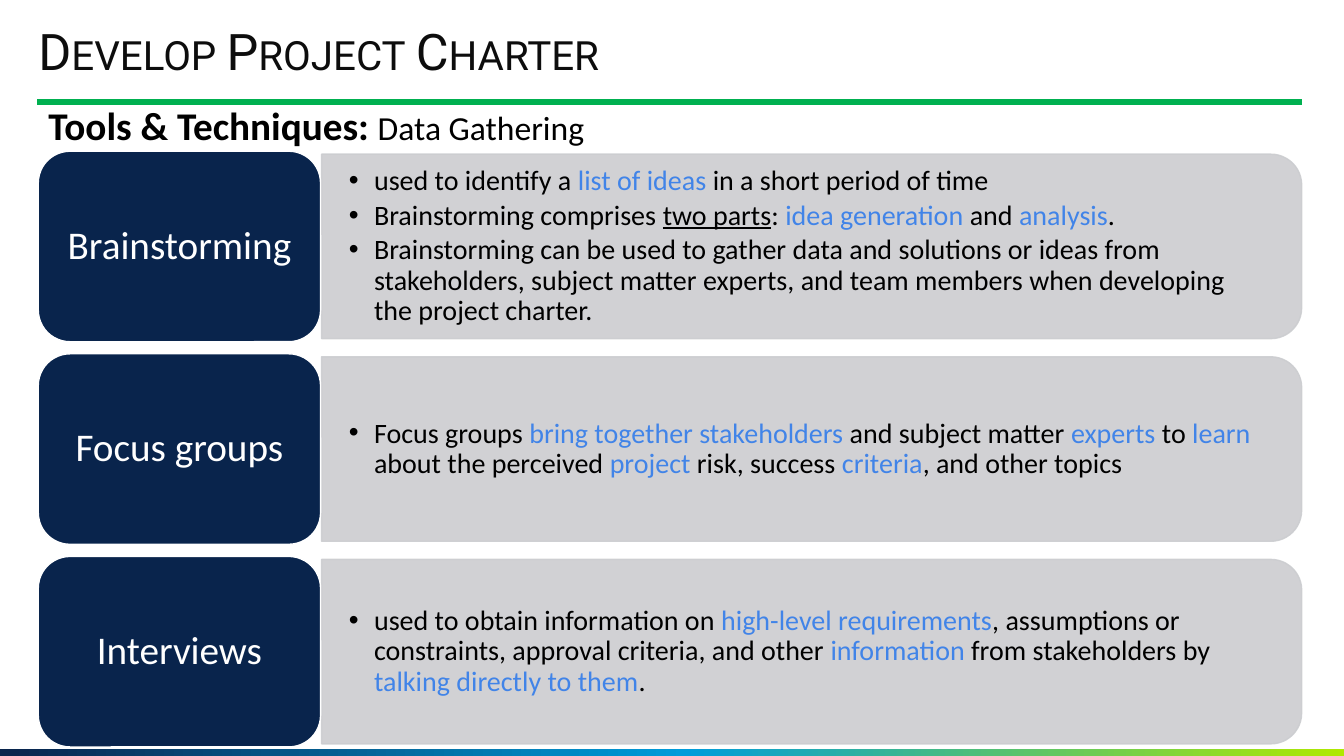
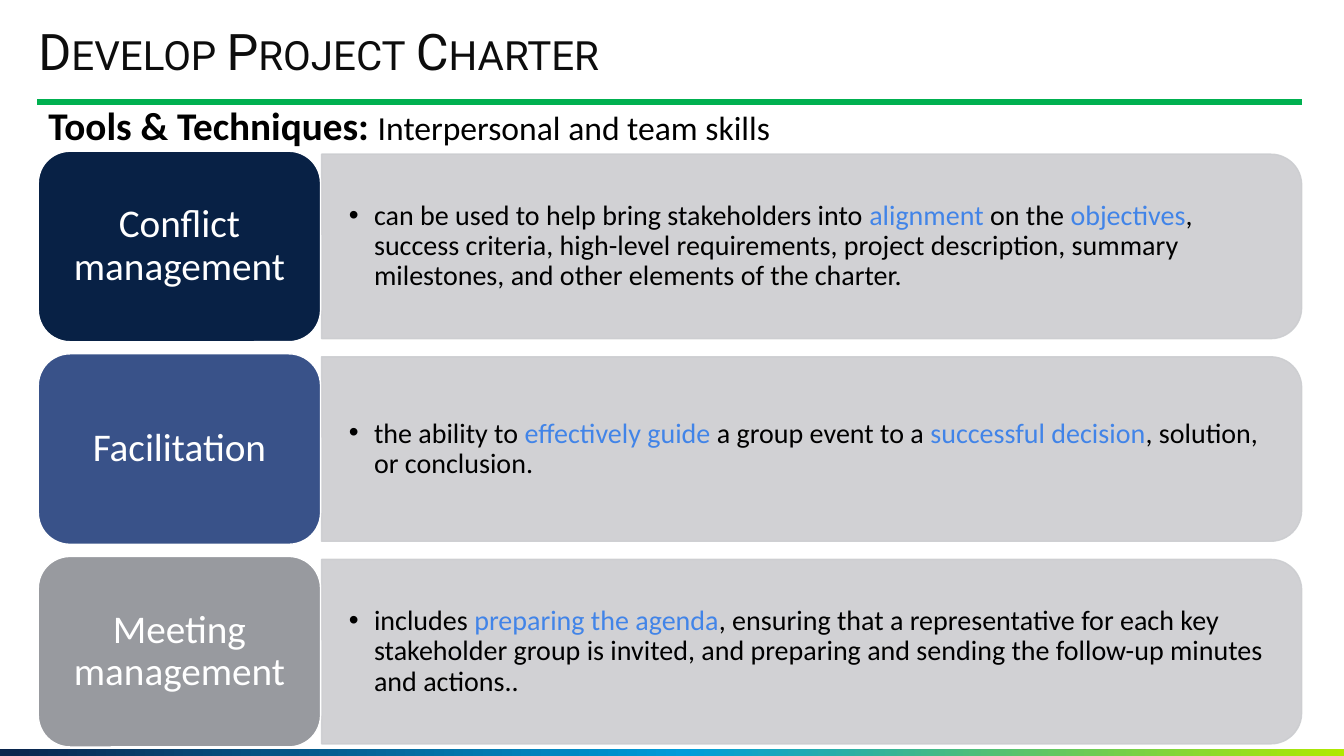
from copy import deepcopy
from dataclasses import dataclass

from lxml import etree
from pptx import Presentation
from pptx import util as u
from pptx.dml import color
from pptx.enum import shapes, text
from pptx.oxml import ns


@dataclass(frozen=True)
class Theme:
    navy: str = "09244C"
    dark_navy: str = "082145"
    indigo: str = "395289"
    grey: str = "989A9F"
    panel: str = "CCCDD0"
    accent: str = "4184E8"
    rule: str = "00B050"
    title: str = "0D0D0D"
    black: str = "000000"
    white: str = "FFFFFF"
    band: tuple = ((0, "09244C"), (0.51, "009CDA"), (1, "B0E900"))
    title_font: str = "Roboto"
    body_font: str = "Calibri"
    title_size: int = 36
    label_size: int = 28
    subject_size: int = 24
    bullet_size: int = 20


theme = Theme()
rgb = color.RGBColor.from_string

PLAIN = {}
ACCENT = {"ink": theme.accent}
UNDERLINED = {"underline": True}

slides = [
    ("Data Gathering", [
        ("Brainstorming", theme.navy, [
            [("used to identify a ", PLAIN), ("list of ideas ", ACCENT),
             ("in a short period of time", PLAIN)],
            [("Brainstorming comprises ", PLAIN), ("two parts", UNDERLINED), (": ", PLAIN),
             ("idea generation ", ACCENT), ("and ", PLAIN), ("analysis", ACCENT), (".", PLAIN)],
            [("Brainstorming can be used to gather data and solutions or ideas from "
              "stakeholders, subject matter experts, and team members when developing "
              "the project charter.", PLAIN)],
        ]),
        ("Focus groups", theme.navy, [
            [("Focus groups ", PLAIN), ("bring together stakeholders", ACCENT),
             (" and subject matter ", PLAIN), ("experts", ACCENT), (" to ", PLAIN),
             ("learn", ACCENT), (" about the perceived ", PLAIN), ("project", ACCENT),
             (" risk, success ", PLAIN), ("criteria", ACCENT), (", and other topics", PLAIN)],
        ]),
        ("Interviews", theme.navy, [
            [("used to obtain information on ", PLAIN), ("high-level requirements", ACCENT),
             (", assumptions or constraints, approval criteria, and other ", PLAIN),
             ("information", ACCENT), (" from stakeholders by ", PLAIN),
             ("talking directly to them", ACCENT), (".", PLAIN)],
        ]),
    ]),
    ("Interpersonal and team skills", [
        ("Conflict management", theme.dark_navy, [
            [("can be used to help bring stakeholders into ", PLAIN), ("alignment", ACCENT),
             (" on the ", PLAIN), ("objectives", ACCENT),
             (", success criteria, high-level requirements, project description, summary "
              "milestones, and other elements of the charter.", PLAIN)],
        ]),
        ("Facilitation", theme.indigo, [
            [("the ability to ", PLAIN), ("effectively guide ", ACCENT),
             ("a group event to a ", PLAIN), ("successful decision", ACCENT),
             (", solution, or conclusion.", PLAIN)],
        ]),
        ("Meeting management", theme.grey, [
            [("includes ", PLAIN), ("preparing the agenda", ACCENT),
             (", ensuring that a representative for each key stakeholder group is invited, "
              "and preparing and sending the follow-up minutes and actions..", PLAIN)],
        ]),
    ]),
]


def add_span(para, wording, size, ink=theme.black, font=theme.body_font, bold=False,
             underline=False):
    span = para.add_run()
    span.text = wording
    span.font.size = u.Pt(size)
    span.font.name = font
    span.font.color.rgb = rgb(ink)
    span.font.bold = bold
    span.font.underline = underline
    return span


def set_frame(frame, across, down, anchor):
    frame.word_wrap = True
    frame.auto_size = text.MSO_AUTO_SIZE.NONE
    frame.vertical_anchor = anchor
    frame.margin_left = frame.margin_right = u.Inches(across)
    frame.margin_top = frame.margin_bottom = u.Inches(down)


deck = Presentation()
deck.slide_width, deck.slide_height = u.Inches(13.33), u.Inches(7.5)
layout = deck.slide_layouts[1]

for holder in list(layout.placeholders):
    if holder.placeholder_format.idx > 1:
        layout.shapes.element.remove(holder.element)
for holder, (left, top, width, height) in zip(
        layout.placeholders, [(0.38, 0.26, 11.19, 0.55), (0.38, 1.01, 12.53, 0.55)]):
    holder.left, holder.top = u.Inches(left), u.Inches(top)
    holder.width, holder.height = u.Inches(width), u.Inches(height)

pages = [deck.slides.add_slide(layout) for _ in slides]

band = pages[0].shapes.add_shape(shapes.MSO_SHAPE.RECTANGLE, 0, u.Inches(7.43),
                                 deck.slide_width, u.Inches(0.07))
band.shadow.inherit = False
band.line.fill.background()
band.fill.gradient()
band.fill.gradient_angle = 0
stop_list = band.element.spPr.find(".//" + ns.qn("a:gsLst"))
stop_list.append(deepcopy(stop_list[-1]))
for stop, (position, ink) in zip(band.fill.gradient_stops, theme.band):
    stop.position = position
    stop.color.rgb = rgb(ink)

rule = pages[0].shapes.add_connector(shapes.MSO_CONNECTOR.STRAIGHT, u.Inches(0.37),
                                     u.Inches(1.01), u.Inches(12.91), u.Inches(1.01))
rule.line.color.rgb = rgb(theme.rule)
rule.line.width = u.Pt(4.5)
etree.SubElement(rule.element.spPr, ns.qn("a:effectLst"))

for shared in (band, rule):
    layout.shapes.element.append(shared.element)

label_left, label_width, label_height = 0.38, 2.8, 1.89
first_row, row_pitch = 1.5, 2.01
panel_left, panel_width, panel_height = 3.19, 9.72, 1.83

for page, (subject, rows) in zip(pages, slides):
    title = page.shapes.title.text_frame
    set_frame(title, 0, 0, text.MSO_ANCHOR.MIDDLE)
    para = title.paragraphs[0]
    para.alignment = text.PP_ALIGN.LEFT
    para.line_spacing = 0.9
    span = add_span(para, "Develop Project Charter", theme.title_size, theme.title,
                    theme.title_font)
    span._r.get_or_add_rPr().set("cap", "small")

    heading = page.placeholders[1].text_frame
    set_frame(heading, 0.1, 0.05, text.MSO_ANCHOR.TOP)
    para = heading.paragraphs[0]
    properties = para._p.get_or_add_pPr()
    properties.set("marL", "0")
    properties.set("indent", "0")
    etree.SubElement(properties, ns.qn("a:buNone"))
    para.line_spacing = 0.9
    para.space_before = u.Pt(0)
    add_span(para, "Tools & Techniques: ", theme.label_size, bold=True)
    add_span(para, subject, theme.subject_size)

    for index, (name, fill, bullets) in enumerate(rows):
        row_top = first_row + index * row_pitch
        middle = row_top + label_height / 2

        panel = page.shapes.add_shape(
            shapes.MSO_SHAPE.ROUND_2_SAME_RECTANGLE,
            u.Inches(panel_left + (panel_width - panel_height) / 2),
            u.Inches(middle - panel_width / 2),
            u.Inches(panel_height), u.Inches(panel_width))
        panel.rotation = 90
        panel.shadow.inherit = False
        panel.fill.solid()
        panel.fill.fore_color.rgb = rgb(theme.panel)
        panel.line.color.rgb = rgb(theme.panel)
        panel.line.width = u.Pt(1)
        for tint in panel.element.spPr.iter(ns.qn("a:srgbClr")):
            etree.SubElement(tint, ns.qn("a:alpha"), val="90000")

        box = page.shapes.add_textbox(u.Inches(panel_left), u.Inches(row_top + 0.12),
                                      u.Inches(9.63), u.Inches(1.65))
        set_frame(box.text_frame, 0.27, 0.14, text.MSO_ANCHOR.MIDDLE)
        for number, spans in enumerate(bullets):
            para = box.text_frame.paragraphs[0] if number == 0 else box.text_frame.add_paragraph()
            properties = para._p.get_or_add_pPr()
            properties.set("marL", str(u.Inches(0.25)))
            properties.set("indent", str(-u.Inches(0.25)))
            etree.SubElement(properties, ns.qn("a:buFont"), typeface="Arial")
            etree.SubElement(properties, ns.qn("a:buChar"), char="•")
            para.line_spacing = 0.9
            para.space_after = u.Pt(3)
            for wording, style in spans:
                add_span(para, wording, theme.bullet_size, **style)

        label = page.shapes.add_shape(
            shapes.MSO_SHAPE.ROUNDED_RECTANGLE, u.Inches(label_left), u.Inches(row_top),
            u.Inches(label_width), u.Inches(label_height))
        label.shadow.inherit = False
        label.fill.solid()
        label.fill.fore_color.rgb = rgb(fill)
        label.line.color.rgb = rgb(theme.white)
        label.line.width = u.Pt(1)
        set_frame(label.text_frame, 0.1, 0.06, text.MSO_ANCHOR.MIDDLE)
        para = label.text_frame.paragraphs[0]
        para.alignment = text.PP_ALIGN.CENTER
        para.line_spacing = 0.9
        add_span(para, name, theme.label_size, theme.white)

deck.save("out.pptx")
